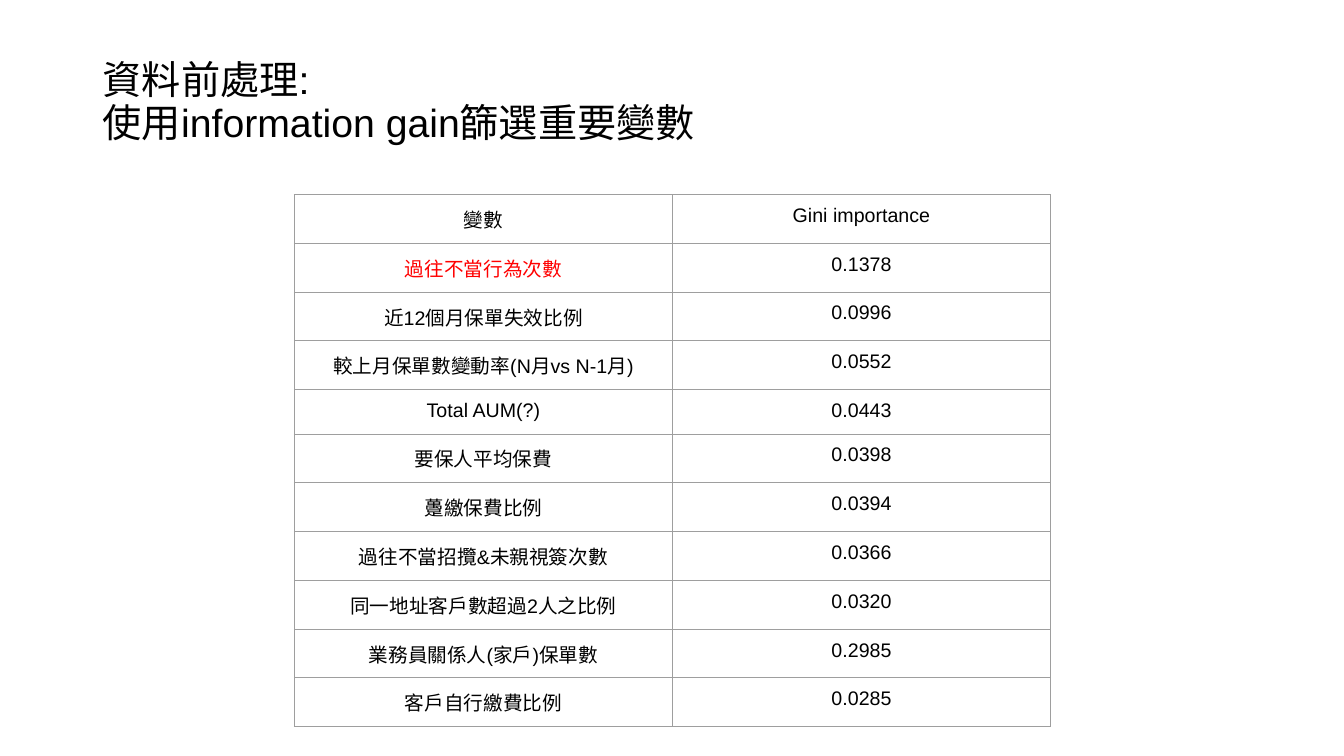
from lxml.etree import SubElement
from pptx import Presentation
from pptx.dml.color import RGBColor
from pptx.enum.text import MSO_ANCHOR, PP_ALIGN
from pptx.oxml.ns import qn
from pptx.util import Inches, Pt

COLORS = {"text": "000000", "highlight": "FF0000", "border": "9E9E9E"}
FONT = "Arial"
TITLE_LINES = ["資料前處理:", "使用information gain篩選重要變數"]
HIGHLIGHTED = "過往不當行為次數"
IMPORTANCE_ROWS = [
    ("變數", "Gini importance"),
    (HIGHLIGHTED, "0.1378"),
    ("近12個月保單失效比例", "0.0996"),
    ("較上月保單數變動率(N月vs N-1月)", "0.0552"),
    ("Total AUM(?)", "0.0443"),
    ("要保人平均保費", "0.0398"),
    ("躉繳保費比例", "0.0394"),
    ("過往不當招攬&未親視簽次數", "0.0366"),
    ("同一地址客戶數超過2人之比例", "0.0320"),
    ("業務員關係人(家戶)保單數", "0.2985"),
    ("客戶自行繳費比例", "0.0285"),
]


def add_text(paragraph, text, size, color):
    run = paragraph.add_run()
    run.text = text
    run.font.name = FONT
    run.font.size = Pt(size)
    run.font.color.rgb = RGBColor.from_string(COLORS[color])


def add_borders(cell):
    properties = cell._tc.get_or_add_tcPr()
    for side in ("a:lnL", "a:lnR", "a:lnT", "a:lnB"):
        line = SubElement(properties, qn(side), w=str(Pt(0.75)))
        fill = SubElement(line, qn("a:solidFill"))
        SubElement(fill, qn("a:srgbClr"), val=COLORS["border"])


def fill_title(slide, left, top, width, height):
    title = slide.shapes.title
    title.left, title.top = Inches(left), Inches(top)
    title.width, title.height = Inches(width), Inches(height)
    frame = title.text_frame
    frame.word_wrap = True
    frame.vertical_anchor = MSO_ANCHOR.MIDDLE
    paragraph = frame.paragraphs[0]
    paragraph.alignment = PP_ALIGN.LEFT
    paragraph.line_spacing = 0.9
    for index, line in enumerate(TITLE_LINES):
        if index:
            paragraph.add_line_break()
        add_text(paragraph, line, 28, "text")


def fill_cell(cell, text):
    cell.margin_left = cell.margin_right = Inches(0.1)
    cell.margin_top = cell.margin_bottom = Inches(0.1)
    add_borders(cell)
    cell.fill.background()
    paragraph = cell.text_frame.paragraphs[0]
    paragraph.alignment = PP_ALIGN.CENTER
    add_text(paragraph, text, 14, "highlight" if text == HIGHLIGHTED else "text")


def add_importance_table(slide, left, top, width, height):
    table = slide.shapes.add_table(
        len(IMPORTANCE_ROWS), len(IMPORTANCE_ROWS[0]),
        Inches(left), Inches(top), Inches(width), Inches(height),
    ).table
    table.first_row = False
    table.horz_banding = False
    for row, texts in zip(table.rows, IMPORTANCE_ROWS):
        for cell, text in zip(row.cells, texts):
            fill_cell(cell, text)


def main():
    presentation = Presentation()
    presentation.slide_width = Inches(13.33)
    presentation.slide_height = Inches(7.5)
    slide = presentation.slides.add_slide(presentation.slide_layouts[5])
    fill_title(slide, 0.92, 0.3, 11.5, 1.45)
    add_importance_table(slide, 2.92, 1.93, 7.5, 4.85)
    presentation.save("out.pptx")


if __name__ == "__main__":
    main()
